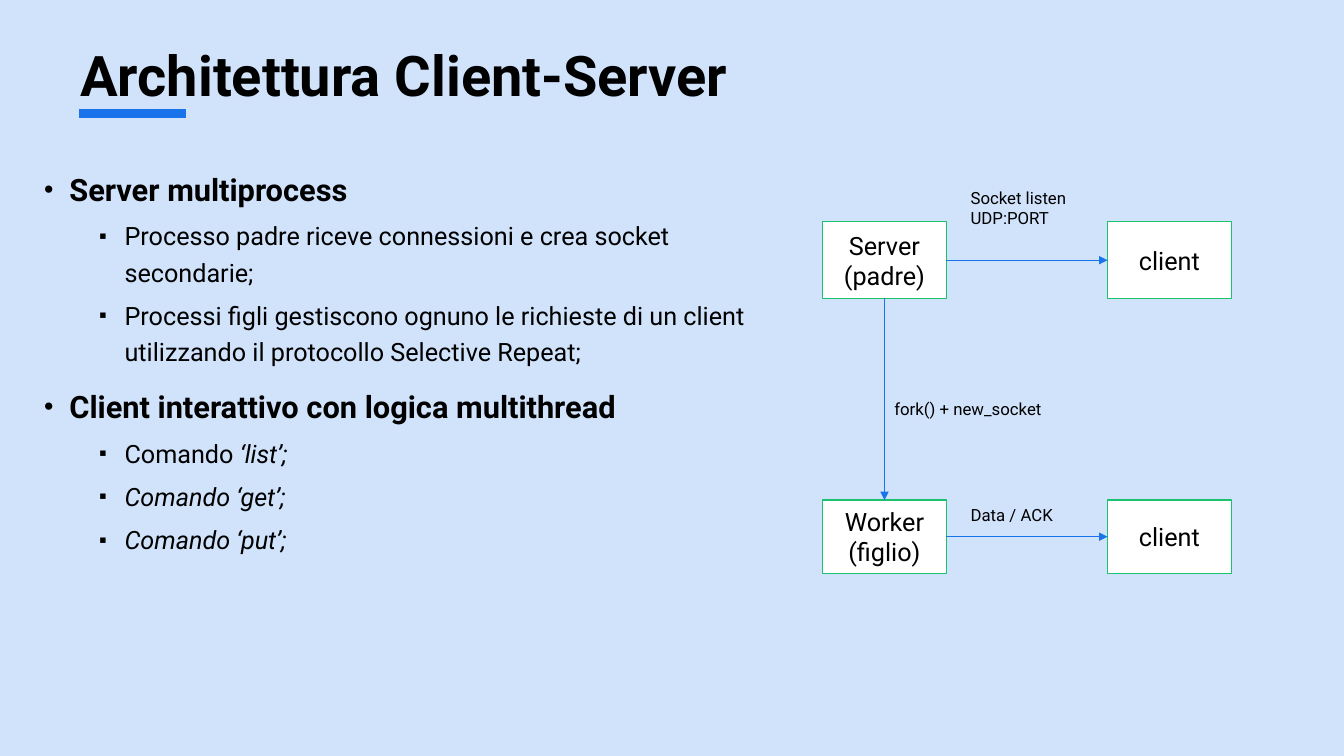
from lxml.etree import SubElement
from pptx import Presentation
from pptx.dml.color import RGBColor
from pptx.enum.shapes import MSO_CONNECTOR, MSO_SHAPE
from pptx.enum.text import MSO_ANCHOR, PP_ALIGN
from pptx.oxml.ns import qn
from pptx.util import Cm, Pt

BACKGROUND, BLUE, GREEN, WHITE, BLACK = "D1E3FB", "1973EB", "1AC16E", "FFFFFF", "000000"
TOP, LEFT, BOTTOM, RIGHT = range(4)

TOPICS = [
    ("Server multiprocess", [
        [("Processo padre riceve connessioni e crea socket secondarie;", False)],
        [("Processi figli gestiscono ognuno le richieste di un client "
          "utilizzando il protocollo Selective Repeat;", False)],
    ]),
    ("Client interattivo con logica multithread", [
        [("Comando ", False), ("‘list’;", True)],
        [("Comando ‘get’;", True)],
        [("Comando ‘put’;", True)],
    ]),
]


def color(value):
    """Turn a hex string into a colour."""
    return RGBColor.from_string(value)


def write(paragraph, text, size=18, bold=False, italic=False):
    """Add a formatted run to a paragraph."""
    run = paragraph.add_run()
    run.text = text
    font = run.font
    font.name, font.size, font.bold, font.italic = "Roboto", Pt(size), bold, italic
    font.color.rgb = color(BLACK)


def add_text_frame(slide, left, top, width, height):
    """Add a wrapping text box and return its frame."""
    frame = slide.shapes.add_textbox(Cm(left), Cm(top), Cm(width), Cm(height)).text_frame
    frame.word_wrap = True
    return frame


def add_line(slide, start, end, weight):
    """Draw a straight blue line without shadow."""
    line = slide.shapes.add_connector(
        MSO_CONNECTOR.STRAIGHT, *(Cm(value) for value in (*start, *end)))
    line.line.color.rgb = color(BLUE)
    line.line.width = Pt(weight)
    SubElement(line._element.spPr, qn("a:effectLst"))
    return line


def add_arrow(slide, source, source_side, target, target_side):
    """Connect two nodes with an arrow."""
    arrow = add_line(slide, (0, 0), (0, 0), 0.5)
    arrow.begin_connect(source, source_side)
    arrow.end_connect(target, target_side)
    SubElement(arrow.line._get_or_add_ln(), qn("a:tailEnd"), type="triangle")


def add_bullet(paragraph, symbol, indent, space_before):
    """Give a paragraph its bullet, indent and spacing."""
    paragraph.line_spacing = 1.2
    paragraph.space_before = Pt(space_before)
    properties = paragraph._p.get_or_add_pPr()
    properties.set("marL", str(Cm(indent)))
    properties.set("indent", str(Cm(-0.64)))
    SubElement(properties, qn("a:buSzPct"), val="87000")
    SubElement(properties, qn("a:buFont"), typeface="Arial")
    SubElement(properties, qn("a:buChar"), char=symbol)


def add_title(slide, left, top, width, height):
    """Place the heading and the bar beneath it."""
    heading = add_text_frame(slide, left, top, width, height)
    write(heading.paragraphs[0], "Architettura Client-Server", size=40, bold=True)
    bar_y = top + 1.96
    add_line(slide, (left + 0.21, bar_y), (left + 2.92, bar_y), 6)


def add_topics(slide, left, top, width, height):
    """Place the two-level bullet list."""
    frame = add_text_frame(slide, left, top, width, height)
    for index, (topic, details) in enumerate(TOPICS):
        paragraph = frame.add_paragraph() if index else frame.paragraphs[0]
        add_bullet(paragraph, "•", 0.64, 10)
        write(paragraph, topic, size=22, bold=True)
        for detail in details:
            paragraph = frame.add_paragraph()
            paragraph.level = 1
            add_bullet(paragraph, "▪", 2.03, 5)
            for text, italic in detail:
                write(paragraph, text, italic=italic)


def add_node(slide, lines, left, top, width, height):
    """Draw a labelled process box."""
    node = slide.shapes.add_shape(
        MSO_SHAPE.RECTANGLE, Cm(left), Cm(top), Cm(width), Cm(height))
    node.shadow.inherit = False
    node.fill.solid()
    node.fill.fore_color.rgb = color(WHITE)
    node.line.color.rgb = color(GREEN)
    node.line.width = Pt(1)
    frame = node.text_frame
    frame.vertical_anchor = MSO_ANCHOR.MIDDLE
    for index, text in enumerate(lines):
        paragraph = frame.add_paragraph() if index else frame.paragraphs[0]
        paragraph.alignment = PP_ALIGN.CENTER
        write(paragraph, text)
    return node


def add_diagram(slide, left, top, width, height):
    """Place the process boxes, their arrows and the labels."""
    node_width, upper_height, lower_height = 3.12, 1.93, 1.85
    client_left = left + width - node_width
    upper_top, lower_top = top + 0.99, top + height - lower_height
    label_left = left + node_width + 0.36

    server = add_node(slide, ["Server", "(padre)"], left, upper_top, node_width, upper_height)
    worker = add_node(slide, ["Worker", "(figlio)"], left, lower_top, node_width, lower_height)
    server_client = add_node(slide, ["client"], client_left, upper_top, node_width, upper_height)
    worker_client = add_node(slide, ["client"], client_left, lower_top, node_width, lower_height)

    add_arrow(slide, server, RIGHT, server_client, LEFT)
    add_arrow(slide, server, BOTTOM, worker, TOP)
    add_arrow(slide, worker, RIGHT, worker_client, LEFT)

    for text, label_x, label_y, label_width, label_height in [
        ("Socket listen UDP:PORT", label_left, top, 3.23, 1.27),
        ("fork() + new_socket", left + node_width / 2, top + 5.33, 4.45, 0.77),
        ("Data / ACK", label_left, lower_top, 3.23, 0.77),
    ]:
        label = add_text_frame(slide, label_x, label_y, label_width, label_height)
        write(label.paragraphs[0], text, size=12)


def main():
    """Build and save the client-server slide."""
    presentation = Presentation()
    presentation.slide_width, presentation.slide_height = Cm(33.87), Cm(19.05)
    slide = presentation.slides.add_slide(presentation.slide_layouts[6])
    slide.background.fill.solid()
    slide.background.fill.fore_color.rgb = color(BACKGROUND)
    add_title(slide, 1.77, 0.9, 30.25, 2.9)
    add_topics(slide, 0.86, 3.99, 19.48, 13.41)
    add_diagram(slide, 20.73, 4.6, 10.3, 9.85)
    presentation.save("out.pptx")


if __name__ == "__main__":
    main()
